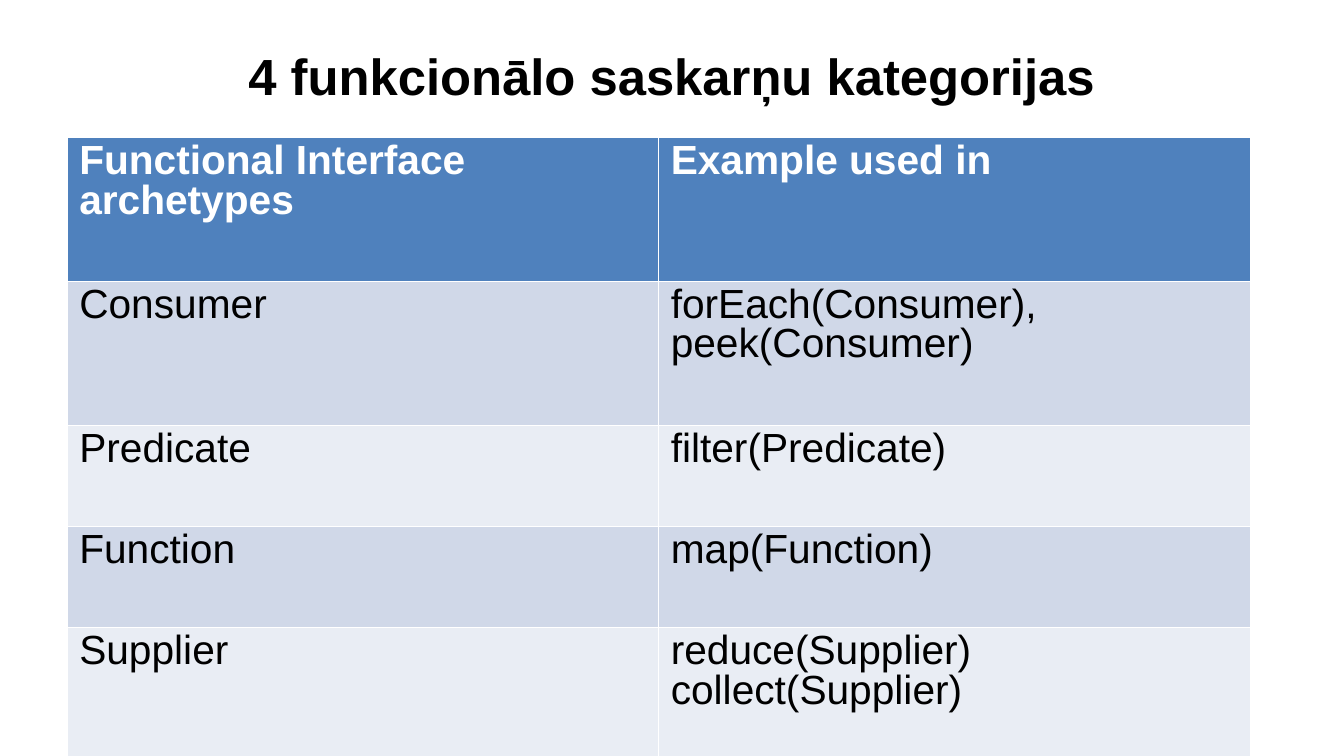
import pptx
import pptx.util
import pptx.dml.color
import pptx.enum.text
import pptx.oxml
import pptx.oxml.ns

Pt = pptx.util.Pt

COLORS = {
    "text": "000000",
    "header_text": "FFFFFF",
    "header": "4F81BD",
    "odd_row": "D0D8E8",
    "even_row": "E9EDF4",
    "border": "FFFFFF",
}

TITLE = "4 funkcionālo saskarņu kategorijas"
ARCHETYPES = [
    ("Functional Interface archetypes", "Example used in"),
    ("Consumer", "forEach(Consumer), peek(Consumer)"),
    ("Predicate", "filter(Predicate)"),
    ("Function", "map(Function)"),
    ("Supplier", "reduce(Supplier)\ncollect(Supplier)"),
]
TALL_ROW, SHORT_ROW = 85, 59.8
ROW_HEIGHTS = [TALL_ROW, TALL_ROW, SHORT_ROW, SHORT_ROW, TALL_ROW]
COLUMN_WIDTH = 349.2


def apply_format(target, values):
    for name, value in values.items():
        setattr(target, name, value)


class SlideBuilder:
    font_name = "Arial"
    cell_format = {
        "margin_left": Pt(7.2),
        "margin_right": Pt(7.2),
        "margin_top": Pt(3.6),
        "margin_bottom": Pt(3.6),
        "vertical_anchor": pptx.enum.text.MSO_ANCHOR.TOP,
    }
    title_format = {
        "margin_left": 0,
        "margin_right": 0,
        "margin_top": 0,
        "margin_bottom": 0,
        "word_wrap": True,
        "vertical_anchor": pptx.enum.text.MSO_ANCHOR.MIDDLE,
    }

    def __init__(self, slide):
        self.slide = slide

    def color(self, name):
        return pptx.dml.color.RGBColor.from_string(COLORS[name])

    def fill_text(self, frame, text, size, color, bold, paragraph_format):
        frame.text = text
        for paragraph in frame.paragraphs:
            apply_format(paragraph, paragraph_format)
            for run in paragraph.runs:
                apply_format(run.font, {"name": self.font_name, "size": Pt(size), "bold": bold})
                run.font.color.rgb = self.color(color)

    def title(self, text, left, top, width, height):
        shape = self.slide.shapes.add_textbox(Pt(left), Pt(top), Pt(width), Pt(height))
        apply_format(shape.text_frame, self.title_format)
        centered = {"alignment": pptx.enum.text.PP_ALIGN.CENTER}
        self.fill_text(shape.text_frame, text, 30, "text", True, centered)

    def border(self, cell):
        properties = cell._tc.get_or_add_tcPr()
        for position, side in enumerate(("lnL", "lnR", "lnT", "lnB")):
            line = pptx.oxml.parse_xml(
                f'<a:{side} {pptx.oxml.ns.nsdecls("a")} w="{int(Pt(0.06))}"><a:solidFill>'
                f'<a:srgbClr val="{COLORS["border"]}"/></a:solidFill></a:{side}>'
            )
            properties.insert(position, line)

    def table(self, rows, left, top, column_width, row_heights):
        column_count = len(rows[0])
        shape = self.slide.shapes.add_table(
            len(rows), column_count, Pt(left), Pt(top),
            Pt(column_width * column_count), Pt(sum(row_heights)),
        )
        table = shape.table
        for column in table.columns:
            column.width = Pt(column_width)
        for index, (texts, height) in enumerate(zip(rows, row_heights)):
            table.rows[index].height = Pt(height)
            is_header = index == 0
            fill = "header" if is_header else ("even_row", "odd_row")[index % 2]
            text_color = "header_text" if is_header else "text"
            for cell, text in zip(table.rows[index].cells, texts):
                apply_format(cell, self.cell_format)
                cell.fill.solid()
                cell.fill.fore_color.rgb = self.color(fill)
                self.border(cell)
                self.fill_text(cell.text_frame, text, 24, text_color, is_header, {"line_spacing": 0.87})


def main():
    presentation = pptx.Presentation()
    presentation.slide_width = Pt(793.44)
    presentation.slide_height = Pt(446.4)
    builder = SlideBuilder(presentation.slides.add_slide(presentation.slide_layouts[6]))
    builder.table(ARCHETYPES, 39.6, 80.9, COLUMN_WIDTH, ROW_HEIGHTS)
    builder.title(TITLE, 39.6, 18, 714.24, 52.56)
    presentation.save("out.pptx")


if __name__ == "__main__":
    main()
